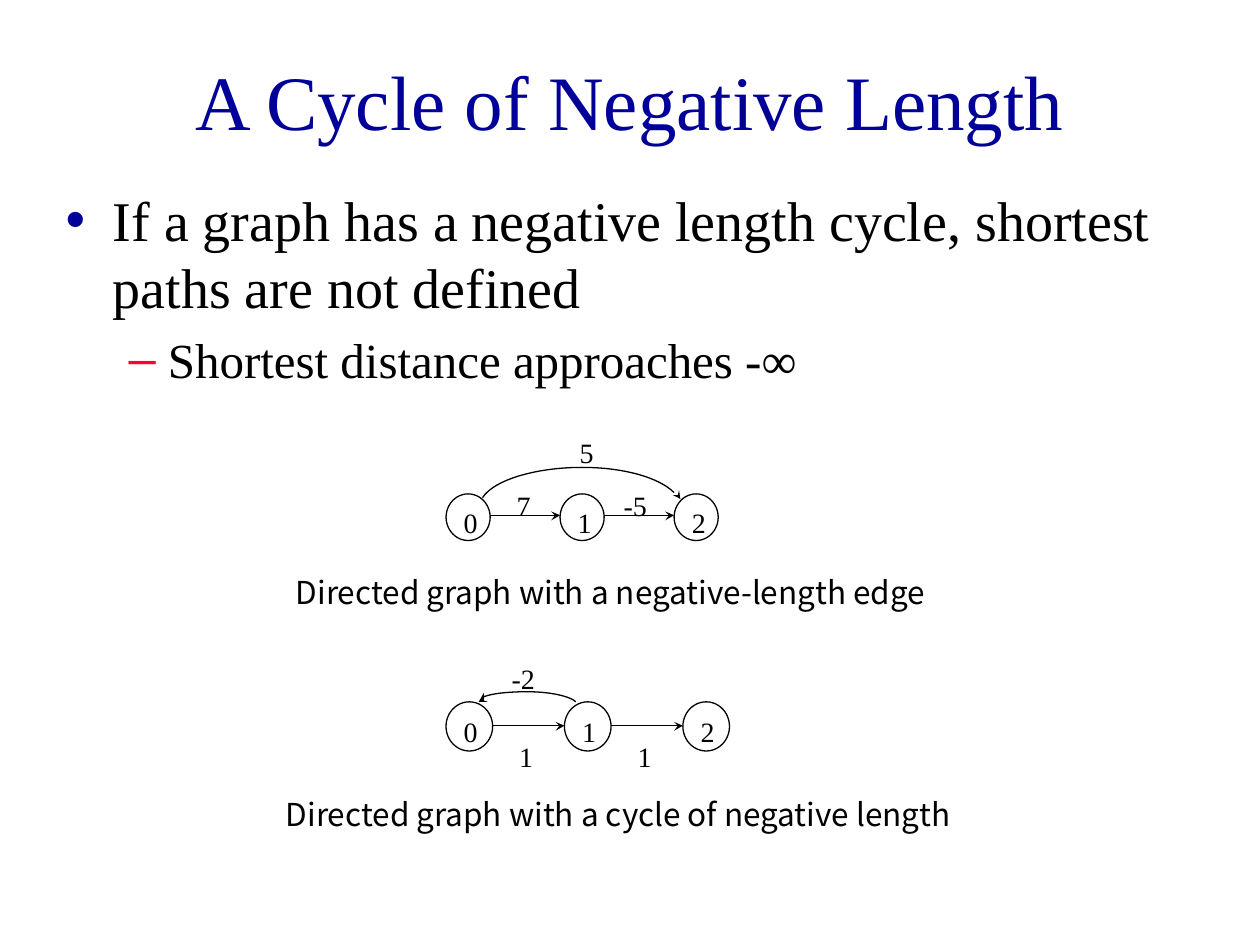
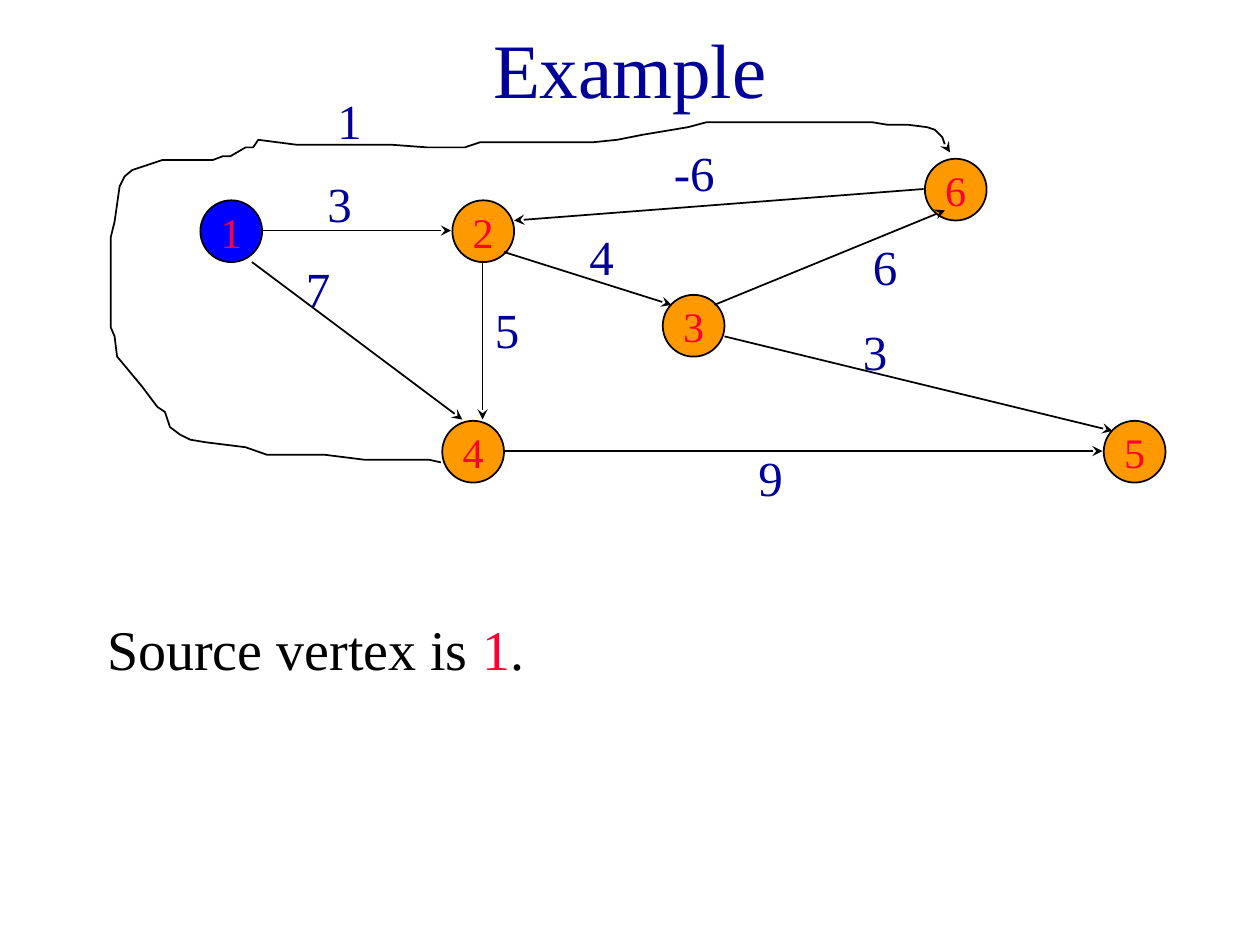
from dataclasses import dataclass

from lxml import etree
from pptx import Presentation
from pptx.dml.color import RGBColor
from pptx.enum.shapes import MSO_CONNECTOR, MSO_SHAPE
from pptx.enum.text import MSO_ANCHOR, MSO_AUTO_SIZE, PP_ALIGN
from pptx.oxml.ns import qn
from pptx.util import Inches, Pt

ELLIPSE = MSO_SHAPE.OVAL
STRAIGHT = MSO_CONNECTOR.STRAIGHT
FIT_SHAPE = MSO_AUTO_SIZE.SHAPE_TO_FIT_TEXT
NO_FIT = MSO_AUTO_SIZE.NONE
MIDDLE = MSO_ANCHOR.MIDDLE
CENTER = PP_ALIGN.CENTER

Point = tuple[float, float]
Box = tuple[float, float, float, float]


@dataclass(frozen=True)
class Theme:
    serif: str = "Times New Roman"
    sans: str = "Noto Sans CJK KR"
    navy: str = "000099"
    black: str = "000000"
    red: str = "FF0033"
    orange: str = "FF9900"
    blue: str = "0000FF"
    title: float = 44
    body: float = 32
    sub: float = 28
    weight: float = 28
    vertex: float = 24
    caption: float = 18
    small: float = 16
    thin: float = 0.75
    line: float = 1


@dataclass(frozen=True)
class Label:
    text: str
    left: float
    top: float
    width: float


@dataclass(frozen=True)
class ChainGraph:
    top: float
    width: float
    height: float
    pitch: float
    edge_y: float
    digit_top: float
    arc: list[Point]
    arc_head: list[Point]
    weights: list[Label]
    caption: Label


@dataclass(frozen=True)
class Vertex:
    name: str
    left: float
    top: float
    color: str


@dataclass(frozen=True)
class Edge:
    start: Point
    end: Point
    weight: Label


T = Theme()
CHAIN_LEFT = 3.54
VERTEX_SIZE = 0.49

CHAINS = [
    ChainGraph(
        3.92, 0.35, 0.37, 0.905, 4.09, 4.01,
        [(3.83, 3.95), (3.92, 3.81), (4.25, 3.71), (4.62, 3.71),
         (4.95, 3.71), (5.23, 3.79), (5.35, 3.91)],
        [(5.34, 3.93), (5.4, 3.96), (5.39, 3.89), (5.38, 3.93)],
        [Label("5", 4.6, 3.46, 0.11), Label("7", 4.1, 3.88, 0.11),
         Label("-5", 4.95, 3.88, 0.19)],
        Label("Directed graph with a negative-length edge", 2.25, 4.5, 5.37)),
    ChainGraph(
        5.57, 0.37, 0.39, 0.94, 5.76, 5.67,
        [(3.84, 5.53), (3.92, 5.5), (4.05, 5.49), (4.19, 5.49),
         (4.38, 5.49), (4.53, 5.53), (4.57, 5.57)],
        [(3.84, 5.5), (3.8, 5.57), (3.87, 5.57), (3.84, 5.56)],
        [Label("-2", 4.06, 5.25, 0.19), Label("1", 4.12, 5.87, 0.11),
         Label("1", 5.06, 5.87, 0.11)],
        Label("Directed graph with a cycle of negative length", 2.17, 6.26, 5.65)),
]

VERTICES = [
    Vertex("1", 1.59, 1.59, T.blue),
    Vertex("2", 3.59, 1.59, T.orange),
    Vertex("4", 3.51, 3.34, T.orange),
    Vertex("3", 5.26, 2.34, T.orange),
    Vertex("6", 7.34, 1.26, T.orange),
    Vertex("5", 8.76, 3.34, T.orange),
]

EDGES = [
    Edge((2.08, 1.83), (3.58, 1.83), Label("3", 2.5, 1.33, 0.42)),
    Edge((2, 2.08), (3.67, 3.33), Label("7", 2.33, 2, 0.67)),
    Edge((4, 2), (5.33, 2.42), Label("4", 4.58, 1.75, 0.42)),
    Edge((4, 3.58), (8.75, 3.58), Label("9", 5.92, 3.5, 0.42)),
    Edge((5.75, 2.67), (8.83, 3.42), Label("3", 6.75, 2.5, 0.67)),
    Edge((7.33, 1.5), (4.08, 1.75), Label("-6", 5.25, 1.08, 0.67)),
    Edge((5.67, 2.42), (7.5, 1.67), Label("6", 6.83, 1.83, 0.67)),
    Edge((3.83, 2.08), (3.83, 3.33), Label("5", 3.83, 2.33, 0.42)),
]

DETOUR = [
    (3.5, 3.67), (3.41, 3.65), (2.9, 3.65), (2.58, 3.61), (2.12, 3.61),
    (1.95, 3.55), (1.63, 3.51), (1.51, 3.49), (1.43, 3.45), (1.35, 3.39),
    (1.31, 3.27), (1.25, 3.23), (1.13, 3.07), (0.93, 2.83), (0.91, 2.67),
    (0.88, 2.6), (0.88, 1.88), (0.91, 1.76), (0.95, 1.48), (0.99, 1.4),
    (1.05, 1.35), (1.29, 1.27), (1.69, 1.27), (1.77, 1.24), (1.83, 1.24),
    (1.95, 1.17), (2.01, 1.17), (2.05, 1.11), (2.36, 1.15), (3.12, 1.15),
    (3.39, 1.17), (3.69, 1.17), (3.81, 1.13), (4.7, 1.13), (4.9, 1.11),
    (5.1, 1.07), (5.46, 1.01), (5.61, 0.97), (6.92, 0.97), (7.04, 0.99),
    (7.2, 0.99), (7.36, 1.01), (7.42, 1.03), (7.48, 1.09), (7.5, 1.15),
    (7.54, 1.21),
]
DETOUR_WEIGHT = Label("1", 2.58, 0.67, 0.67)


def rgb(color: str) -> RGBColor:
    return RGBColor.from_string(color)


def set_font(p, size: float, color: str, name: str = T.serif) -> None:
    p.font.name = name
    p.font.size = Pt(size)
    p.font.color.rgb = rgb(color)


def place(sp, box: Box) -> None:
    sp.left, sp.top, sp.width, sp.height = (Inches(v) for v in box)


def set_line(sp, width: float) -> None:
    sp.line.color.rgb = rgb(T.black)
    sp.line.width = Pt(width)


def add_arrowhead(sp) -> None:
    etree.SubElement(sp.line._get_or_add_ln(), qn("a:tailEnd"), type="stealth")


def add_title(s, text: str, box: Box) -> None:
    sp = s.shapes.title
    place(sp, box)
    sp.text_frame.text = text
    set_font(sp.text_frame.paragraphs[0], T.title, T.navy)


def get_body(s, box: Box):
    sp = s.placeholders[1]
    place(sp, box)
    sp.text_frame.auto_size = NO_FIT
    return sp.text_frame


def color_bullet(p, color: str) -> None:
    clr = etree.SubElement(p._p.get_or_add_pPr(), qn("a:buClr"))
    etree.SubElement(clr, qn("a:srgbClr"), val=color)


def add_label(s, label: Label, size: float, height: float, color: str = T.black,
              font: str = T.serif, inset: bool = True, wrap: bool = False):
    sp = s.shapes.add_textbox(*(Inches(v) for v in (label.left, label.top,
                                                    label.width, height)))
    tf = sp.text_frame
    tf.word_wrap = wrap
    tf.auto_size = FIT_SHAPE
    if not inset:
        tf.margin_left = tf.margin_right = tf.margin_top = tf.margin_bottom = 0
    tf.text = label.text
    set_font(tf.paragraphs[0], size, color, font)
    return tf.paragraphs[0]


def add_small(s, label: Label) -> None:
    add_label(s, label, T.small, 0.27, inset=False)


def add_weight(s, label: Label) -> None:
    p = add_label(s, label, T.weight, 0.57, T.navy, wrap=True)
    spacing = etree.Element(qn("a:spcBef"))
    etree.SubElement(spacing, qn("a:spcPct"), val="50000")
    p._p.get_or_add_pPr().insert(0, spacing)


def add_circle(s, box: Box, width: float, fill: str | None = None):
    sp = s.shapes.add_shape(ELLIPSE, *(Inches(v) for v in box))
    sp.shadow.inherit = False
    set_line(sp, width)
    if fill:
        sp.fill.solid()
        sp.fill.fore_color.rgb = rgb(fill)
    else:
        sp.fill.background()
    return sp


def add_line(s, start: Point, end: Point, width: float, arrow: bool = False) -> None:
    sp = s.shapes.add_connector(STRAIGHT, *(Inches(v) for v in start + end))
    set_line(sp, width)
    if arrow:
        add_arrowhead(sp)
    etree.SubElement(sp._element.spPr, qn("a:effectLst"))


def add_path(s, points: list[Point], closed: bool = False):
    pts = [(Inches(x), Inches(y)) for x, y in points]
    builder = s.shapes.build_freeform(*pts[0])
    builder.add_line_segments(pts[1:], close=closed)
    sp = builder.convert_to_shape()
    sp.shadow.inherit = False
    return sp


def add_curve(s, points: list[Point], width: float) -> None:
    sp = add_path(s, sample_curve(points))
    sp.fill.background()
    set_line(sp, width)


def add_head(s, points: list[Point]) -> None:
    sp = add_path(s, points, closed=True)
    sp.fill.solid()
    sp.fill.fore_color.rgb = rgb(T.black)
    sp.line.fill.background()


def sample_curve(points: list[Point], steps: int = 16) -> list[Point]:
    result = [points[0]]
    for i in range(0, len(points) - 1, 3):
        a, b, c, d = points[i:i + 4]
        for k in range(1, steps + 1):
            t = k / steps
            u = 1 - t
            weights = (u ** 3, 3 * u * u * t, 3 * u * t * t, t ** 3)
            result.append(tuple(sum(w * q[axis] for w, q in zip(weights, (a, b, c, d)))
                                for axis in (0, 1)))
    return result


def add_chain(s, g: ChainGraph) -> None:
    for i in range(3):
        left = CHAIN_LEFT + i * g.pitch
        add_circle(s, (left, g.top, g.width, g.height), T.thin)
        add_small(s, Label(str(i), left + 0.14, g.digit_top, 0.11))
    for i in range(2):
        start = CHAIN_LEFT + i * g.pitch + g.width
        tip = CHAIN_LEFT + (i + 1) * g.pitch
        y = g.edge_y
        add_line(s, (start, y), (tip - 0.01, y), T.thin)
        add_head(s, [(tip - 0.07, y + 0.04), (tip, y),
                     (tip - 0.07, y - 0.03), (tip - 0.04, y)])
    add_curve(s, g.arc, T.thin)
    add_head(s, g.arc_head)
    for weight in g.weights:
        add_small(s, weight)
    add_label(s, g.caption, T.caption, 0.4, font=T.sans)


def add_vertex(s, v: Vertex) -> None:
    sp = add_circle(s, (v.left, v.top, VERTEX_SIZE, VERTEX_SIZE), T.line, v.color)
    tf = sp.text_frame
    tf.margin_left = tf.margin_right = tf.margin_top = tf.margin_bottom = 0
    tf.word_wrap = False
    tf.vertical_anchor = MIDDLE
    tf.text = v.name
    p = tf.paragraphs[0]
    p.alignment = CENTER
    set_font(p, T.vertex, T.red)


def build_cycle_slide(prs) -> None:
    s = prs.slides.add_slide(prs.slide_layouts[1])
    add_title(s, "A Cycle of Negative Length", (0.75, 0.17, 8.5, 1.25))
    tf = get_body(s, (0.42, 1.42, 9.17, 5))
    tf.text = ("If a graph has a negative length cycle, shortest paths are not defined\n"
               "Shortest distance approaches -∞")
    styles = [(T.body, T.navy), (T.sub, T.red)]
    for level, (p, (size, bullet)) in enumerate(zip(tf.paragraphs, styles)):
        p.level = level
        color_bullet(p, bullet)
        set_font(p, size, T.black)
    for g in CHAINS:
        add_chain(s, g)


def build_example_slide(prs) -> None:
    s = prs.slides.add_slide(prs.slide_layouts[1])
    add_title(s, "Example", (0.75, 0, 8.5, 1.08))
    p = get_body(s, (0.75, 4.83, 8.5, 0.33)).paragraphs[0]
    etree.SubElement(p._p.get_or_add_pPr(), qn("a:buNone"))
    set_font(p, T.body, T.black)
    for text, color in (("Source vertex is ", T.black), ("1", T.red), (".", T.black)):
        r = p.add_run()
        r.text = text
        r.font.color.rgb = rgb(color)
    for v in VERTICES:
        add_vertex(s, v)
    for e in EDGES:
        add_line(s, e.start, e.end, T.line, arrow=True)
        add_weight(s, e.weight)
    sp = add_path(s, DETOUR)
    sp.fill.background()
    set_line(sp, T.line)
    add_arrowhead(sp)
    add_weight(s, DETOUR_WEIGHT)


prs = Presentation()
prs.slide_width, prs.slide_height = Inches(10), Inches(7.5)
build_cycle_slide(prs)
build_example_slide(prs)
prs.save("out.pptx")
